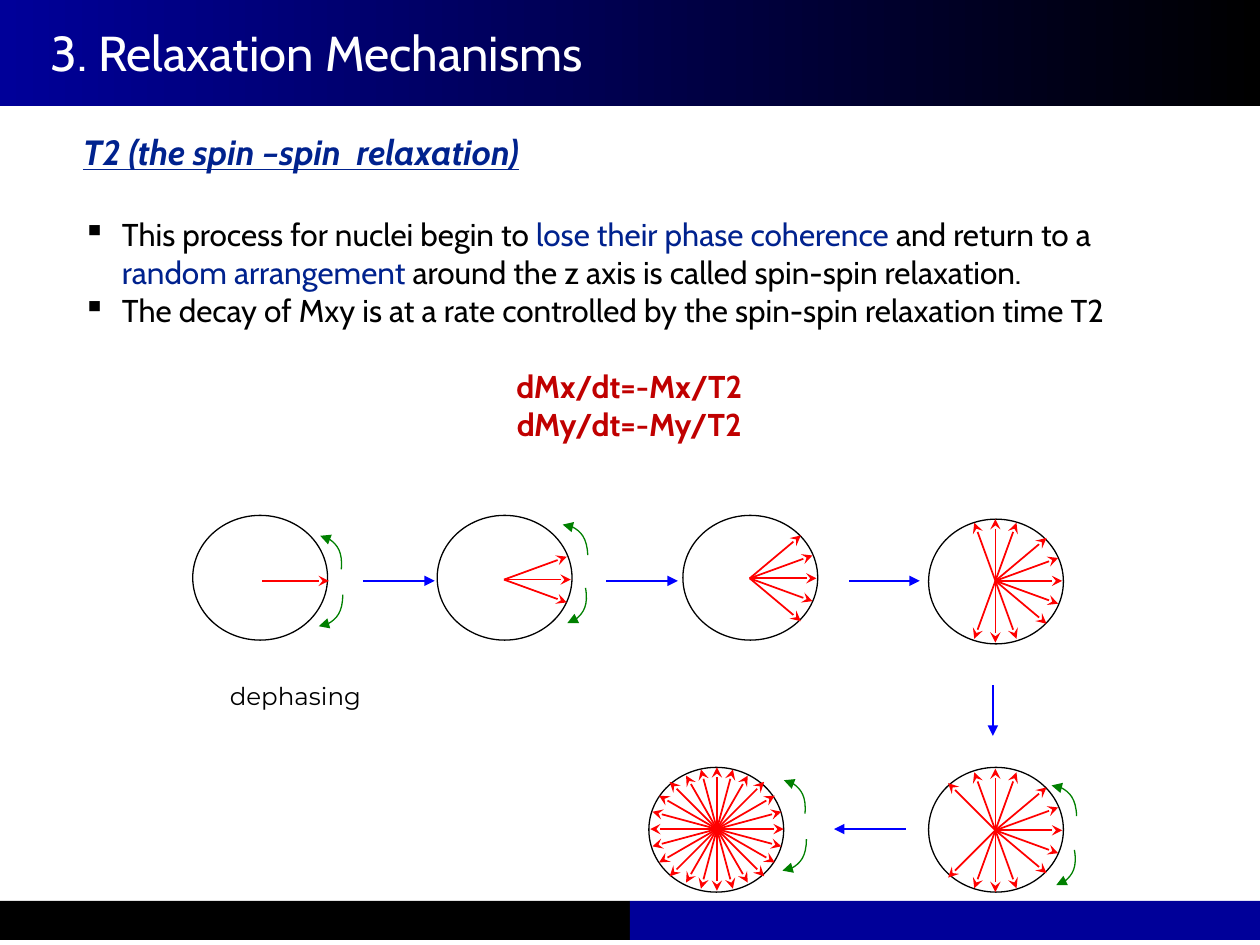
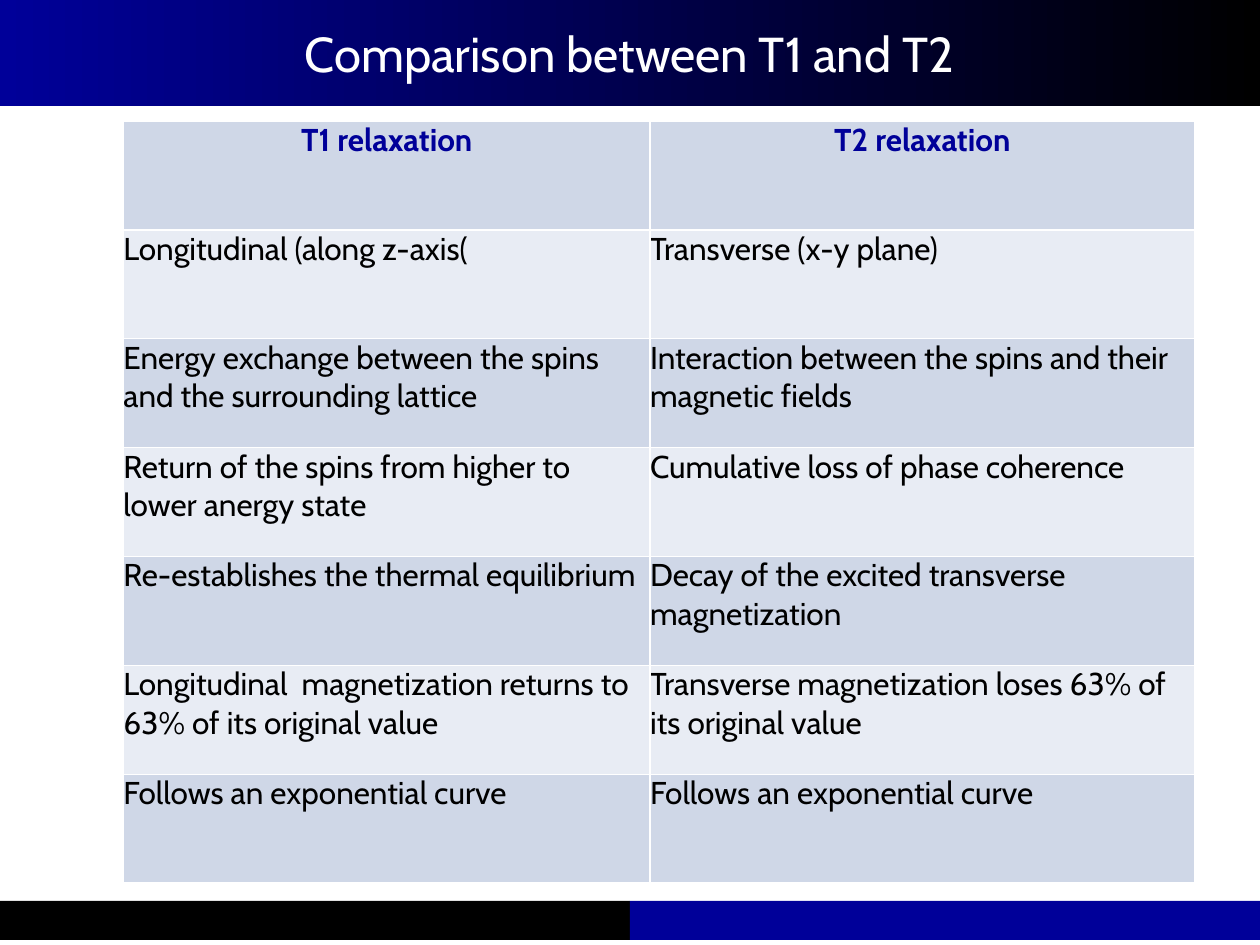
from dataclasses import dataclass
from math import cos, radians, sin
from typing import NamedTuple

from lxml import etree
from pptx import Presentation
from pptx.dml.color import RGBColor
from pptx.enum.shapes import MSO_CONNECTOR, MSO_SHAPE
from pptx.enum.text import MSO_ANCHOR, PP_ALIGN
from pptx.oxml.ns import qn
from pptx.util import Inches, Pt

LEFT, CENTER = PP_ALIGN.LEFT, PP_ALIGN.CENTER
TOP, MIDDLE = MSO_ANCHOR.TOP, MSO_ANCHOR.MIDDLE
RECT, OVAL = MSO_SHAPE.RECTANGLE, MSO_SHAPE.OVAL
STRAIGHT = MSO_CONNECTOR.STRAIGHT


@dataclass(frozen=True)
class Theme:
    font: str = "Cabin"
    label_font: str = "Montserrat"
    black: str = "000000"
    white: str = "FFFFFF"
    navy: str = "000099"
    accent: str = "00228E"
    formula: str = "C00000"
    spin: str = "FF0000"
    step: str = "0000FF"
    turn: str = "008000"
    row_fills: tuple = ("CFD7E7", "E8ECF4")
    title_pt: float = 28
    heading_pt: float = 20
    body_pt: float = 18
    label_pt: float = 14
    blank_line: float = 1.215


THEME = Theme()


class Run(NamedTuple):
    text: str
    color: str = THEME.black
    size: float = THEME.body_pt
    bold: bool = False
    italic: bool = False
    underline: bool = False
    font: str = THEME.font


class Para(NamedTuple):
    runs: list[Run]
    align: PP_ALIGN = LEFT
    bullet: str = ""
    gap_after: float = 0


class Box(NamedTuple):
    left: float
    top: float
    width: float
    height: float

    def emu(self) -> list[int]:
        return [Inches(v) for v in self]


class Stage(NamedTuple):
    """One dial: its top left corner, the hub of its spins and their angles."""
    left: float
    top: float
    hub: tuple[float, float]
    angles: list[float]


class Turn(NamedTuple):
    """A curved arrow that points up or down, turned by some degrees."""
    left: float
    top: float
    up: bool
    rotation: float


DIAL_W, DIAL_H = 1.07, 0.99
FLAT_SPIN, STEEP_SPIN = 0.53, 0.49
TURN_W, TURN_H = 0.19, 0.25

FAN_3 = [-20, 0, 20]
FAN_5 = [-40, *FAN_3, 40]
FAN_11 = [-110, -90, -70, *FAN_5, 70, 90, 110]
STAGES = [
    Stage(1.53, 4.09, (2.08, 4.61), [0]),
    Stage(3.47, 4.09, (4.00, 4.60), FAN_3),
    Stage(5.42, 4.09, (5.95, 4.59), FAN_5),
    Stage(7.37, 4.12, (7.90, 4.61), FAN_11),
    Stage(7.37, 6.09, (7.90, 6.59), [-135, *FAN_11, 135]),
    Stage(5.15, 6.09, (5.69, 6.58), list(range(0, 360, 15))),
]
STEPS = [
    ((2.88, 4.61), (3.45, 4.61)),
    ((4.81, 4.61), (5.38, 4.61)),
    ((6.74, 4.61), (7.30, 4.61)),
    ((7.88, 5.44), (7.88, 5.84)),
    ((7.19, 6.58), (6.62, 6.58)),
]
TURNS = [
    Turn(2.53, 4.26, True, 5), Turn(2.53, 4.72, False, 0),
    Turn(4.47, 4.16, True, 358), Turn(4.48, 4.68, False, 350),
    Turn(8.35, 6.23, True, 358), Turn(8.36, 6.76, False, 350),
    Turn(6.21, 6.20, True, 5), Turn(6.21, 6.66, False, 0),
]

BODY = [
    Para([Run("T2 (the spin –spin  relaxation)", THEME.accent, THEME.heading_pt,
              True, True, True)], gap_after=THEME.heading_pt * THEME.blank_line),
    Para([Run("This process for nuclei begin to "),
          Run("lose their phase coherence ", THEME.accent),
          Run("and return to a "),
          Run("random arrangement ", THEME.accent),
          Run("around the z axis is called spin-spin relaxation.")], bullet="▪"),
    Para([Run("The decay of Mxy is at a rate controlled by the spin-spin "
              "relaxation time T2")], bullet="▪",
         gap_after=THEME.body_pt * THEME.blank_line),
    Para([Run("dMx/dt=-Mx/T2", THEME.formula, bold=True)], CENTER),
    Para([Run("dMy/dt=-My/T2", THEME.formula, bold=True)], CENTER),
]

COMPARISON = [
    ("T1 relaxation", "T2 relaxation"),
    ("Longitudinal (along z-axis(", "Transverse (x-y plane)"),
    ("Energy exchange between the spins and the surrounding lattice",
     "Interaction between the spins and their magnetic fields"),
    ("Return of the spins from higher to lower anergy state",
     "Cumulative loss of phase coherence"),
    ("Re-establishes the thermal equilibrium",
     "Decay of the excited transverse magnetization"),
    ("Longitudinal  magnetization returns to 63% of its original value",
     "Transverse magnetization loses 63% of its original value"),
    ("Follows an exponential curve", "Follows an exponential curve"),
]


def rgb(color: str) -> RGBColor:
    return RGBColor.from_string(color)


def write(tf, paras: list[Para]) -> None:
    for i, para in enumerate(paras):
        p = tf.add_paragraph() if i else tf.paragraphs[0]
        p.alignment = para.align
        p.space_after = Pt(para.gap_after)
        if para.bullet:
            pPr = p._p.get_or_add_pPr()
            pPr.set("marL", str(Inches(0.31)))
            pPr.set("indent", str(-Inches(0.31)))
            etree.SubElement(pPr, qn("a:buChar"), char=para.bullet)
        for run in para.runs:
            r = p.add_run()
            r.text = run.text
            f = r.font
            f.name, f.size, f.color.rgb = run.font, Pt(run.size), rgb(run.color)
            f.bold, f.italic, f.underline = run.bold, run.italic, run.underline


def add_text(slide, box: Box, paras: list[Para], anchor=TOP, side: float = 0.05,
             wrap: bool = True) -> None:
    tf = slide.shapes.add_textbox(*box.emu()).text_frame
    tf.word_wrap, tf.vertical_anchor = wrap, anchor
    tf.margin_left = tf.margin_right = Inches(side)
    tf.margin_top = tf.margin_bottom = Inches(0.05)
    write(tf, paras)


def add_title(slide, box: Box, text: str, align=LEFT, anchor=TOP) -> None:
    add_text(slide, box, [Para([Run(text, THEME.white, THEME.title_pt)], align)], anchor)


def add_band(slide, box: Box, color: str):
    sp = slide.shapes.add_shape(RECT, *box.emu())
    sp.shadow.inherit = False
    sp.fill.solid()
    sp.fill.fore_color.rgb = rgb(color)
    sp.line.fill.background()
    return sp


def add_slide(prs):
    """Add a blank slide with the header band and the two footer bands."""
    slide = prs.slides.add_slide(prs.slide_layouts[6])
    header = add_band(slide, Box(0, 0, 10, 0.84), THEME.black)
    header.fill.gradient()
    header.fill.gradient_angle = 180
    for stop, color in zip(header.fill.gradient_stops, (THEME.black, THEME.navy)):
        stop.color.rgb = rgb(color)
    for left, color in ((0, THEME.black), (5, THEME.navy)):
        add_band(slide, Box(left, 7.15, 5, 0.31), color)
    return slide


def style_line(sp, color: str, width: float, end: str = "", arrow: str = "") -> None:
    """Set the line; end is headEnd or tailEnd, arrow its preset form."""
    sp.line.color.rgb = rgb(color)
    sp.line.width = Pt(width)
    if end:
        etree.SubElement(sp.line._get_or_add_ln(), qn(f"a:{end}"), type=arrow)


def add_arrow(slide, start: tuple, finish: tuple, color: str, width: float,
              arrow: str) -> None:
    ends = [Inches(v) for v in (*start, *finish)]
    line = slide.shapes.add_connector(STRAIGHT, *ends)
    style_line(line, color, width, "tailEnd", arrow)
    etree.SubElement(line._element.spPr, qn("a:effectLst"))


def add_stage(slide, stage: Stage) -> None:
    dial = slide.shapes.add_shape(OVAL, *Box(stage.left, stage.top, DIAL_W, DIAL_H).emu())
    dial.shadow.inherit = False
    dial.fill.background()
    style_line(dial, THEME.black, 0.75)
    x, y = stage.hub
    for angle in stage.angles:
        a = radians(angle)
        steep = abs(sin(a)) > 0.75
        length = STEEP_SPIN if steep else FLAT_SPIN
        tip = (x + length * cos(a), y + length * sin(a))
        add_arrow(slide, stage.hub, tip, THEME.spin, 1, "stealth")


def add_turn(slide, turn: Turn) -> None:
    left, top, w, h = Box(turn.left, turn.top, TURN_W, TURN_H).emu()
    y0, y1 = (0, h) if turn.up else (h, 0)
    builder = slide.shapes.build_freeform(left, top + y0)
    builder.add_line_segments([(left + w, top + y1)], close=False)
    sp = builder.convert_to_shape()
    segment = next(sp._element.iter(qn("a:lnTo")))
    curve = etree.Element(qn("a:cubicBezTo"))
    middle = round(y0 + 0.45 * (y1 - y0))
    for x, y in ((round(0.55 * w), y0), (w, middle), (w, y1)):
        etree.SubElement(curve, qn("a:pt"), x=str(x), y=str(y))
    segment.getparent().replace(segment, curve)
    sp.rotation = turn.rotation
    sp.shadow.inherit = False
    sp.fill.background()
    style_line(sp, THEME.turn, 0.75, "headEnd", "triangle")


def style_cell(cell, fill: str) -> None:
    cell.margin_left = cell.margin_right = cell.margin_top = cell.margin_bottom = 0
    tcPr = cell._tc.get_or_add_tcPr()
    for side in "LRTB":
        ln = etree.SubElement(tcPr, qn(f"a:ln{side}"), w=str(Pt(1)))
        solid = etree.SubElement(ln, qn("a:solidFill"))
        etree.SubElement(solid, qn("a:srgbClr"), val=THEME.white)
    cell.fill.solid()
    cell.fill.fore_color.rgb = rgb(fill)


def build_t2(prs) -> None:
    slide = add_slide(prs)
    for start, finish in STEPS:
        add_arrow(slide, start, finish, THEME.step, 1.5, "triangle")
    for stage in STAGES:
        add_stage(slide, stage)
    for turn in TURNS:
        add_turn(slide, turn)
    label = Run("dephasing", size=THEME.label_pt, font=THEME.label_font)
    add_text(slide, Box(1.74, 5.34, 1.21, 0.36), [Para([label], CENTER)], MIDDLE, wrap=False)
    add_title(slide, Box(0.35, 0.13, 5.34, 0.57), "3. Relaxation Mechanisms")
    add_text(slide, Box(0.56, 0.99, 8.87, 2.89), BODY, side=0.1)


def build_comparison(prs) -> None:
    slide = add_slide(prs)
    frame = slide.shapes.add_table(len(COMPARISON), 2, *Box(0.98, 0.96, 8.5, 6.05).emu())
    table = frame.table
    table.first_row = table.horz_banding = False
    for column, width in zip(table.columns, (4.18, 4.32)):
        column.width = Inches(width)
    for i, texts in enumerate(COMPARISON):
        header = i == 0
        color, align = (THEME.navy, CENTER) if header else (THEME.black, LEFT)
        for cell, text in zip(table.rows[i].cells, texts):
            style_cell(cell, THEME.row_fills[i % 2])
            write(cell.text_frame, [Para([Run(text, color, bold=header)], align)])
    add_title(slide, Box(1.15, 0, 7.69, 0.84), "Comparison between T1 and T2", CENTER, MIDDLE)


def main() -> None:
    prs = Presentation()
    prs.slide_width, prs.slide_height = Inches(10), Inches(7.5)
    build_t2(prs)
    build_comparison(prs)
    prs.save("out.pptx")


if __name__ == "__main__":
    main()
